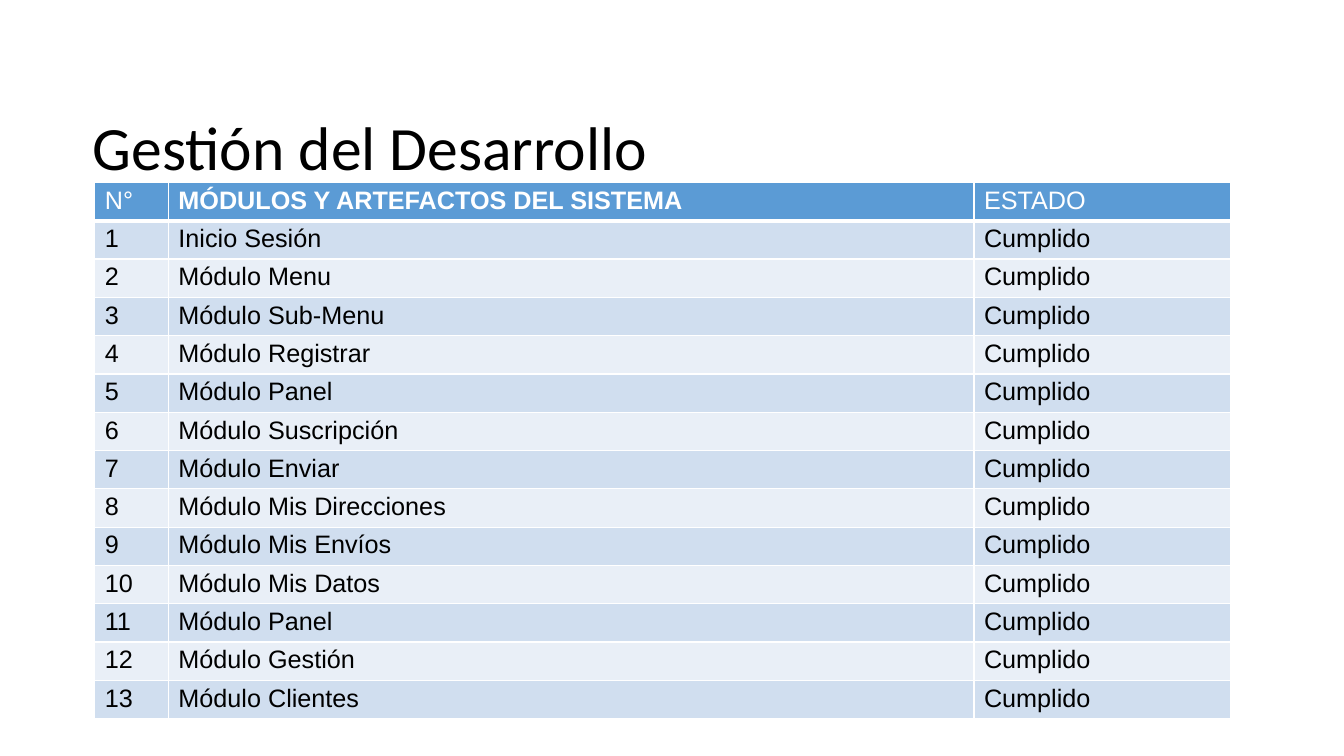
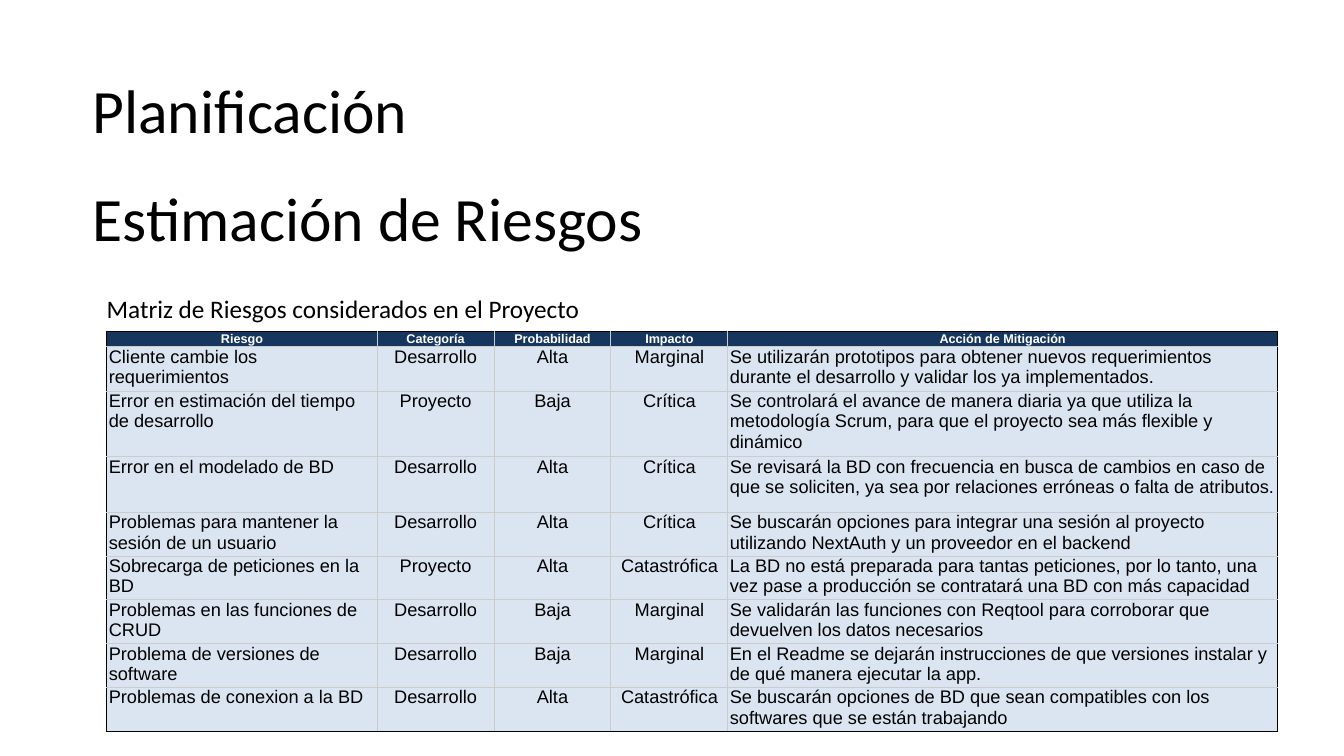
import pptx
import pptx.util
import pptx.dml.color
import pptx.enum.text
import pptx.oxml.ns
import lxml.etree
from dataclasses import dataclass

Inches = pptx.util.Inches
Pt = pptx.util.Pt
LEFT = pptx.enum.text.PP_ALIGN.LEFT
CENTER = pptx.enum.text.PP_ALIGN.CENTER
MIDDLE = pptx.enum.text.MSO_ANCHOR.MIDDLE
TOP = pptx.enum.text.MSO_ANCHOR.TOP


class Theme:
    title_font, table_font = "Calibri", "Arial"
    title_size, caption_size = 44, 18
    ink, paper = "000000", "FFFFFF"
    title_left, title_width = 0.82, 11.5


@dataclass
class TableStyle:
    header_fill: str
    bands: tuple
    header_size: float
    body_size: float
    inner: tuple
    outer: tuple
    header_rule: tuple
    inset: tuple
    bold_headers: tuple
    header_align: int
    aligns: tuple


MODULE_STYLE = TableStyle(
    header_fill="5B9BD5", bands=("D0DEEF", "E9EFF7"), header_size=18, body_size=18,
    inner=(Theme.paper, 1), outer=(Theme.paper, 1), header_rule=(Theme.paper, 3),
    inset=(0.1, 0.04), bold_headers=(False, True, False),
    header_align=LEFT, aligns=(LEFT,) * 3)

RISK_STYLE = TableStyle(
    header_fill="17365D", bands=("DBE5F1",), header_size=9, body_size=13,
    inner=("CCCCCC", 0.75), outer=(Theme.ink, 0.75), header_rule=("CCCCCC", 0.75),
    inset=(0.02, 0), bold_headers=(True,) * 5,
    header_align=CENTER, aligns=(LEFT, CENTER, CENTER, CENTER, LEFT))

MODULE_HEADERS = ("N°", "MÓDULOS Y ARTEFACTOS DEL SISTEMA", "ESTADO")
MODULES = (
    "Inicio Sesión", "Módulo Menu", "Módulo Sub-Menu", "Módulo Registrar",
    "Módulo Panel", "Módulo Suscripción", "Módulo Enviar",
    "Módulo Mis Direcciones", "Módulo Mis Envíos", "Módulo Mis Datos",
    "Módulo Panel", "Módulo Gestión", "Módulo Clientes",
)
MODULE_STATUS = "Cumplido"

RISK_HEADERS = ("Riesgo", "Categoría", "Probabilidad", "Impacto", "Acción de Mitigación")
RISKS = (
    ("Cliente cambie los requerimientos", "Desarrollo", "Alta", "Marginal",
     "Se utilizarán prototipos para obtener nuevos requerimientos durante el desarrollo y validar los ya implementados."),
    ("Error en estimación del tiempo de desarrollo", "Proyecto", "Baja", "Crítica",
     "Se controlará el avance de manera diaria ya que utiliza la metodología Scrum, para que el proyecto sea más flexible y dinámico"),
    ("Error en el modelado de BD", "Desarrollo", "Alta", "Crítica",
     "Se revisará la BD con frecuencia en busca de cambios en caso de que se soliciten, ya sea por relaciones erróneas o falta de atributos."),
    ("Problemas para mantener la sesión de un usuario", "Desarrollo", "Alta", "Crítica",
     "Se buscarán opciones para integrar una sesión al proyecto utilizando NextAuth y un proveedor en el backend"),
    ("Sobrecarga de peticiones en la BD", "Proyecto", "Alta", "Catastrófica",
     "La BD no está preparada para tantas peticiones, por lo tanto, una vez pase a producción se contratará una BD con más capacidad"),
    ("Problemas en las funciones de CRUD", "Desarrollo", "Baja", "Marginal",
     "Se validarán las funciones con Reqtool para corroborar que devuelven los datos necesarios"),
    ("Problema de versiones de software", "Desarrollo", "Baja", "Marginal",
     "En el Readme se dejarán instrucciones de que versiones instalar y de qué manera ejecutar la app."),
    ("Problemas de conexion a la BD", "Desarrollo", "Alta", "Catastrófica",
     "Se buscarán opciones de BD que sean compatibles con los softwares que se están trabajando"),
)


def rgb(color):
    return pptx.dml.color.RGBColor.from_string(color)


def write(frame, text, font, size, color, bold=False, align=LEFT, spacing=None):
    paragraph = frame.paragraphs[0]
    paragraph.alignment = align
    if spacing:
        paragraph.line_spacing = spacing
    run = paragraph.add_run()
    run.text = text
    run.font.name, run.font.size, run.font.bold = font, Pt(size), bold
    run.font.color.rgb = rgb(color)


def place(shape, left, top, width, height):
    shape.left, shape.top = Inches(left), Inches(top)
    shape.width, shape.height = Inches(width), Inches(height)


def write_heading(shape, text, top, height, spacing=0.9):
    place(shape, Theme.title_left, top, Theme.title_width, height)
    shape.text_frame.word_wrap = True
    shape.text_frame.vertical_anchor = MIDDLE
    write(shape.text_frame, text, Theme.title_font, Theme.title_size, Theme.ink, spacing=spacing)


def add_text_box(slide):
    return slide.shapes.add_textbox(0, 0, 0, 0)


def draw_border(cell, side, color, width):
    qn = pptx.oxml.ns.qn
    line = lxml.etree.SubElement(
        cell._tc.get_or_add_tcPr(), qn(f"a:ln{side}"), w=str(int(Pt(width))))
    fill = lxml.etree.SubElement(line, qn("a:solidFill"))
    lxml.etree.SubElement(fill, qn("a:srgbClr"), val=color)


def add_grid(slide, left, top, widths, heights, rows, style):
    table = slide.shapes.add_table(
        len(rows), len(widths), Inches(left), Inches(top),
        Inches(sum(widths)), Inches(sum(heights))).table
    table.horz_banding = False
    for column, width in zip(table.columns, widths):
        column.width = Inches(width)
    last_row, last_column = len(rows) - 1, len(widths) - 1
    for r, (values, height) in enumerate(zip(rows, heights)):
        table.rows[r].height = Inches(height)
        header = r == 0
        for c, value in enumerate(values):
            cell = table.cell(r, c)
            cell.margin_left = cell.margin_right = Inches(style.inset[0])
            cell.margin_top = cell.margin_bottom = Inches(style.inset[1])
            cell.vertical_anchor = TOP
            edges = {
                "L": style.outer if c == 0 else style.inner,
                "R": style.outer if c == last_column else style.inner,
                "T": style.outer if header else style.header_rule if r == 1 else style.inner,
                "B": style.header_rule if header else style.outer if r == last_row else style.inner,
            }
            for side, (color, width) in edges.items():
                draw_border(cell, side, color, width)
            cell.fill.solid()
            cell.fill.fore_color.rgb = rgb(
                style.header_fill if header else style.bands[(r - 1) % len(style.bands)])
            write(cell.text_frame, value, Theme.table_font,
                  style.header_size if header else style.body_size,
                  Theme.paper if header else Theme.ink,
                  bold=header and style.bold_headers[c],
                  align=style.header_align if header else style.aligns[c])


def build_development(slide):
    write_heading(slide.shapes.title, "Gestión del Desarrollo", 0.77, 1.45)
    rows = [MODULE_HEADERS] + [
        (str(number), module, MODULE_STATUS) for number, module in enumerate(MODULES, 1)]
    add_grid(slide, 0.94, 1.81, (0.73, 7.99, 2.55), [0.38] * len(rows), rows, MODULE_STYLE)


def build_risks(slide):
    write_heading(slide.shapes.title, "Estimación de Riesgos", 1.72, 0.95)
    caption = add_text_box(slide)
    place(caption, 0.96, 2.86, 6.88, 0.4)
    caption.text_frame.word_wrap = True
    write(caption.text_frame, "Matriz de Riesgos considerados en el Proyecto",
          Theme.title_font, Theme.caption_size, Theme.ink)
    write_heading(add_text_box(slide), "Planificación", 0.77, 0.75, spacing=0.8)
    heights = [0.15, 0.44, 0.65, 0.55] + [0.43] * 5
    add_grid(slide, 1.06, 3.29, (2.68, 1.16, 1.16, 1.16, 5.45), heights,
             [RISK_HEADERS, *RISKS], RISK_STYLE)


def main():
    deck = pptx.Presentation()
    deck.slide_width, deck.slide_height = Inches(13.33), Inches(7.5)
    title_only = deck.slide_layouts[5]
    for build in (build_development, build_risks):
        build(deck.slides.add_slide(title_only))
    deck.save("out.pptx")


if __name__ == "__main__":
    main()
